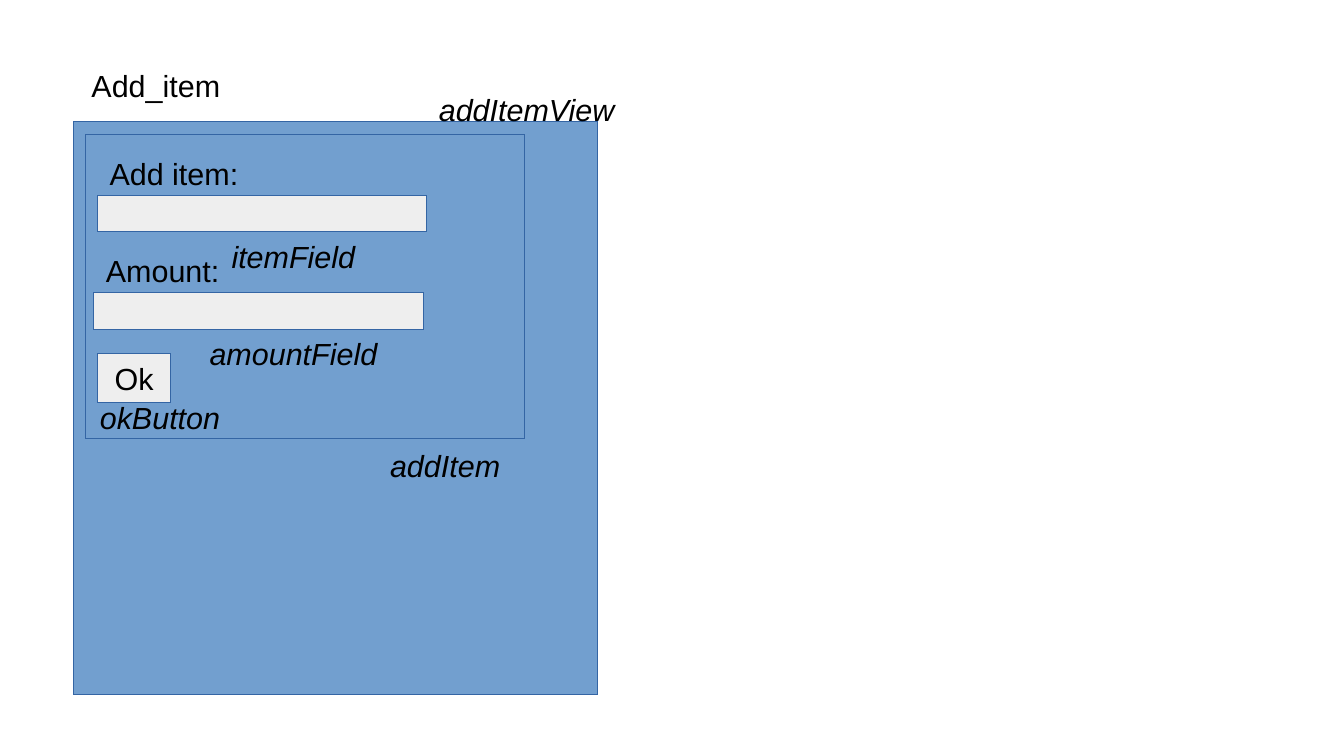
from dataclasses import dataclass

from pptx import Presentation
from pptx.dml.color import RGBColor
from pptx.enum.shapes import MSO_SHAPE as Preset
from pptx.enum.text import MSO_ANCHOR as Anchor, MSO_AUTO_SIZE as AutoSize, PP_ALIGN as Align
from pptx.shapes.autoshape import Shape
from pptx.slide import Slide
from pptx.util import Emu, Pt

PX = 9144  # 100 px to the inch
PAGE_WIDTH, PAGE_HEIGHT = 1102, 620
PANEL, FIELD, OUTLINE, INK = "729FCF", "EEEEEE", "3465A4", "000000"
HAIRLINE = Emu(1)  # python-pptx drops a width of 0
LABEL_HEIGHT = 38
FIELD_SIZE = (270, 30)


@dataclass(frozen=True)
class Box:
    left: int
    top: int
    width: int
    height: int
    fill: str
    text: str = ""


@dataclass(frozen=True)
class Label:
    text: str
    left: int
    top: int
    width: int
    italic: bool = False


TITLE = Label("Add_item", 65, 50, 125)
BOXES = [
    Box(60, 100, 430, 470, PANEL),
    Box(70, 110, 360, 250, PANEL),
    Box(80, 160, *FIELD_SIZE, FIELD),
    Box(77, 240, *FIELD_SIZE, FIELD),
    Box(80, 290, 60, 40, FIELD, "Ok"),
]
LABELS = [
    Label("Add item:", 80, 122, 180),
    Label("Amount:", 77, 202, 113),
    Label("addItemView", 350, 70, 164, italic=True),
    Label("addItem", 310, 362, 110, italic=True),
    Label("okButton", 72, 322, 118, italic=True),
    Label("amountField", 162, 270, 157, italic=True),
    Label("itemField", 180, 190, 121, italic=True),
]


def px(length: int) -> Emu:
    return Emu(length * PX)


def color(value: str) -> RGBColor:
    return RGBColor.from_string(value)


def write(shape: Shape, text: str, align: Align, italic: bool = False) -> None:
    frame = shape.text_frame
    frame.text = text
    para = frame.paragraphs[0]
    para.alignment = align
    font = para.font
    font.name, font.size, font.italic = "Arial", Pt(18), italic
    font.color.rgb = color(INK)


def draw_box(page: Slide, box: Box) -> None:
    shape = page.shapes.add_shape(
        Preset.RECTANGLE, px(box.left), px(box.top), px(box.width), px(box.height))
    shape.shadow.inherit = False
    shape.fill.solid()
    shape.fill.fore_color.rgb = color(box.fill)
    shape.line.color.rgb = color(OUTLINE)
    shape.line.width = HAIRLINE
    if box.text:
        write(shape, box.text, Align.CENTER)
        shape.text_frame.word_wrap = False
        shape.text_frame.vertical_anchor = Anchor.MIDDLE


def format_label(shape: Shape, label: Label) -> None:
    """Place a label; without a right margin its text stays on one line."""
    shape.left, shape.top = px(label.left), px(label.top)
    shape.width, shape.height = px(label.width), px(LABEL_HEIGHT)
    write(shape, label.text, Align.LEFT, label.italic)
    frame = shape.text_frame
    frame.word_wrap = True
    frame.margin_right = 0
    frame.auto_size = AutoSize.SHAPE_TO_FIT_TEXT
    frame.vertical_anchor = Anchor.TOP


def main() -> None:
    deck = Presentation()
    deck.slide_width, deck.slide_height = px(PAGE_WIDTH), px(PAGE_HEIGHT)
    title_only = deck.slide_layouts[5]
    page = deck.slides.add_slide(title_only)
    format_label(page.shapes.title, TITLE)
    for box in BOXES:
        draw_box(page, box)
    for label in LABELS:
        format_label(page.shapes.add_textbox(0, 0, 0, 0), label)
    deck.save("out.pptx")


if __name__ == "__main__":
    main()
